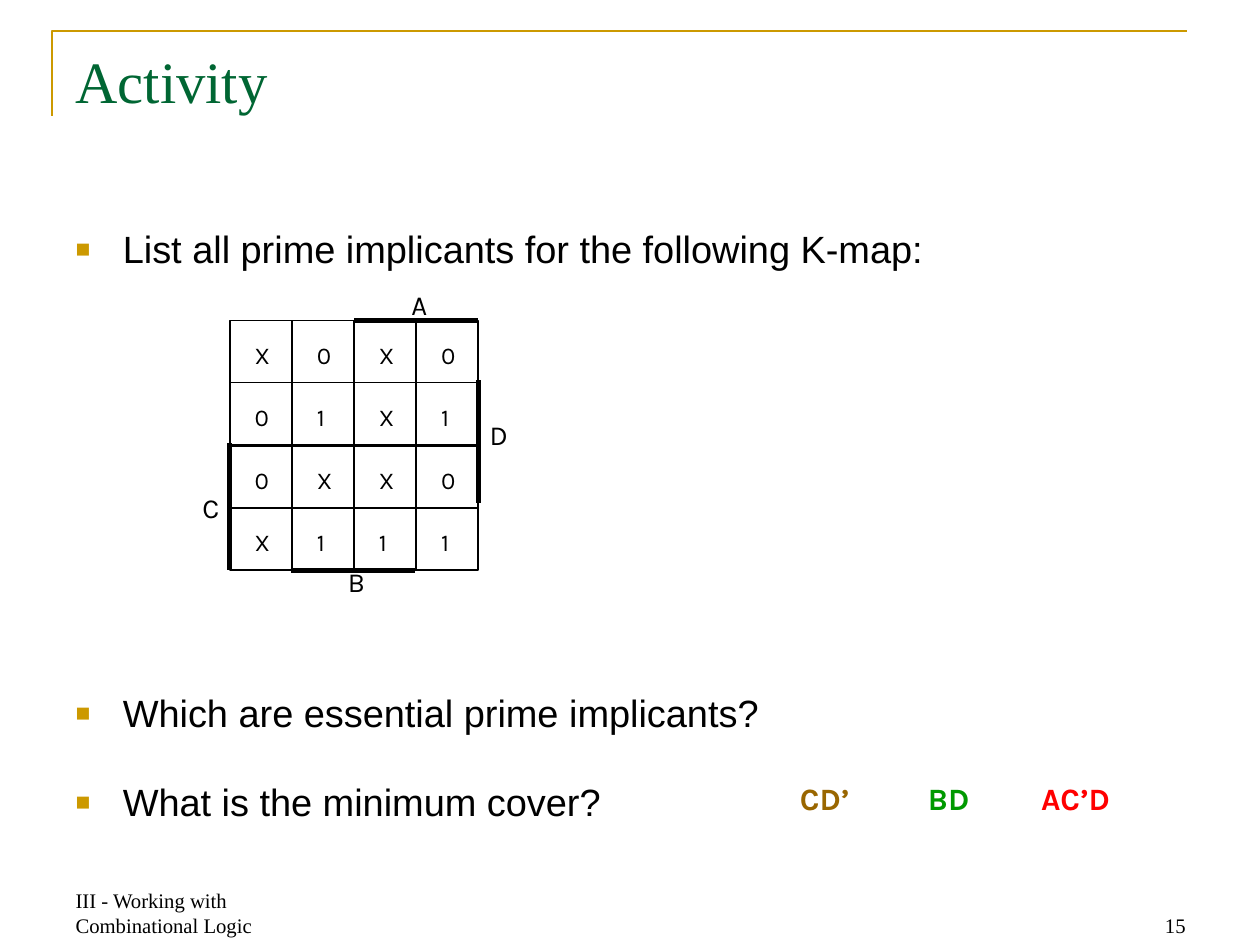
from dataclasses import dataclass

import lxml.etree
import pptx
import pptx.dml.color
import pptx.enum.shapes
import pptx.enum.text
import pptx.oxml
import pptx.oxml.ns
import pptx.util
from pptx.dml.color import RGBColor

SCALE = 9144
BLACK = RGBColor(0x00, 0x00, 0x00)
GOLD = RGBColor(0xCC, 0x99, 0x00)
PINE = RGBColor(0x00, 0x66, 0x33)
GREEN = RGBColor(0x00, 0x99, 0x00)
BROWN = RGBColor(0x99, 0x66, 0x00)
RED = RGBColor(0xFF, 0x00, 0x00)
SERIF, SANS, KARLA = "Times New Roman", "Arial", "Karla"
WIDE, TIGHT = (10, 5), (2, 3)
TOP = pptx.enum.text.MSO_ANCHOR.TOP
BOTTOM = pptx.enum.text.MSO_ANCHOR.BOTTOM
LEFT = pptx.enum.text.PP_ALIGN.LEFT
RIGHT = pptx.enum.text.PP_ALIGN.RIGHT
SIDE = 100


@dataclass
class Label:
    text: str
    left: int
    top: int
    width: int
    height: int
    size: int
    font: str
    color: RGBColor = BLACK
    bold: bool = False
    wrap: bool = False
    inset: tuple[int, int] = WIDE
    anchor: pptx.enum.text.MSO_ANCHOR = TOP
    align: pptx.enum.text.PP_ALIGN = LEFT
    pitch: float | None = None
    gaps: tuple[int, ...] = (0,)


@dataclass
class Block:
    left: int
    top: int
    rows: str


@dataclass
class Bar:
    start: tuple[int, int]
    end: tuple[int, int]


LABELS = [
    Label("Activity", 51, 31, 912, 126, 34, SERIF, PINE, wrap=True),
    Label("III - Working with Combinational Logic", 51, 709, 237, 51, 12, SERIF,
          wrap=True, anchor=BOTTOM),
    Label("15", 727, 709, 237, 51, 12, SERIF, wrap=True, anchor=BOTTOM, align=RIGHT),
    Label("CD’", 634, 623, 63, 40, 18, KARLA, BROWN, bold=True),
    Label("BD", 737, 623, 56, 40, 18, KARLA, GREEN, bold=True),
    Label("AC’D", 828, 623, 80, 40, 18, KARLA, RED, bold=True),
    Label("A", 329, 233, 64, 36, 16, KARLA, inset=TIGHT, pitch=pptx.util.Pt(16)),
    Label("B", 278, 456, 64, 36, 16, KARLA, inset=TIGHT, pitch=pptx.util.Pt(16)),
    Label("C", 153, 390, 34, 37, 16, KARLA),
    Label("D", 392, 338, 64, 36, 16, KARLA, inset=TIGHT, pitch=pptx.util.Pt(16)),
]
TASKS = Label(
    "List all prime implicants for the following K-map:\n"
    "Which are essential prime implicants?\n"
    "What is the minimum cover?",
    51, 181, 912, 498, 22, SANS, wrap=True, pitch=0.9, gaps=(0, 245, 28))
BLOCKS = [
    Block(185, 258, "X\t0\n0\t1"),
    Block(285, 258, "X\t0\nX\t1"),
    Block(185, 359, "0\tX\nX\t1"),
    Block(285, 359, "X\t0\n1\t1"),
]
BARS = [
    Bar((285, 258), (385, 258)),
    Bar((385, 306), (385, 405)),
    Bar((234, 459), (334, 459)),
    Bar((185, 357), (185, 459)),
]


def px(value: int) -> pptx.util.Emu:
    return pptx.util.Emu(value * SCALE)


def child(parent, tag: str, **attrs: str):
    node = lxml.etree.SubElement(parent, pptx.oxml.ns.qn(tag))
    for key, value in attrs.items():
        node.set(key, value)
    return node


def write(slide, label: Label):
    box = slide.shapes.add_textbox(
        px(label.left), px(label.top), px(label.width), px(label.height))
    frame = box.text_frame
    frame.word_wrap = label.wrap
    frame.vertical_anchor = label.anchor
    frame.margin_left = frame.margin_right = px(label.inset[0])
    frame.margin_top = frame.margin_bottom = px(label.inset[1])
    frame.text = label.text
    for para, gap in zip(frame.paragraphs, label.gaps):
        para.alignment = label.align
        para.line_spacing = label.pitch
        para.space_before = pptx.util.Pt(gap)
        props = para._p.get_or_add_pPr()
        if label is TASKS:
            props.set("marL", str(px(38)))
            props.set("indent", str(px(-38)))
            child(child(props, "a:buClr"), "a:srgbClr", val=str(GOLD))
            child(props, "a:buSzPct", val="65000")
            child(props, "a:buFont", typeface=SANS)
            child(props, "a:buChar", char="■")
        if "\t" in para.text:
            child(child(props, "a:tabLst"), "a:tab", pos=str(px(50)), algn="l")
        para.font.size = pptx.util.Pt(label.size)
        para.font.name = label.font
        para.font.bold = label.bold
        para.font.color.rgb = label.color


def rule(slide, start: tuple[int, int], end: tuple[int, int], weight: int):
    line = slide.shapes.add_connector(
        pptx.enum.shapes.MSO_CONNECTOR.STRAIGHT, *map(px, start + end))
    line.line.color.rgb = BLACK
    line.line.width = pptx.util.Pt(weight)
    child(line._element.spPr, "a:effectLst")
    return line


def grid(slide, block: Block):
    left, top, half = block.left, block.top, SIDE // 2
    rect = slide.shapes.add_shape(
        pptx.enum.shapes.MSO_SHAPE.RECTANGLE, px(left), px(top), px(SIDE), px(SIDE))
    rect.shadow.inherit = False
    rect.fill.background()
    rect.line.color.rgb = BLACK
    rect.line.width = pptx.util.Pt(1)
    spans = [
        ((left + half, top), (left + half, top + SIDE), 0, 2),
        ((left, top + half), (left + SIDE, top + half), 1, 3),
    ]
    for start, end, first, last in spans:
        line = rule(slide, start, end, 1)
        line.begin_connect(rect, first)
        line.end_connect(rect, last)
    write(slide, Label(block.rows, left + 18, top + 11, 90, 89, 14, KARLA,
                       inset=TIGHT, pitch=pptx.util.Pt(18), gaps=(0, 18)))


def frame(slide):
    path = slide.shapes.build_freeform(42, 93, scale=float(SCALE))
    path.add_line_segments([(42, 25), (955, 25)], close=False)
    edge = path.convert_to_shape()
    edge.shadow.inherit = False
    edge.fill.background()
    edge.line.color.rgb = GOLD
    edge.line.width = pptx.util.Pt(1.5)


def main():
    deck = pptx.Presentation()
    deck.slide_width, deck.slide_height = px(1014), px(760)
    slide = deck.slides.add_slide(deck.slide_layouts[6])
    frame(slide)
    write(slide, TASKS)
    for block in BLOCKS:
        grid(slide, block)
    for bar in BARS:
        rule(slide, bar.start, bar.end, 3)
    for label in LABELS:
        write(slide, label)
    deck.save("out.pptx")


if __name__ == "__main__":
    main()
